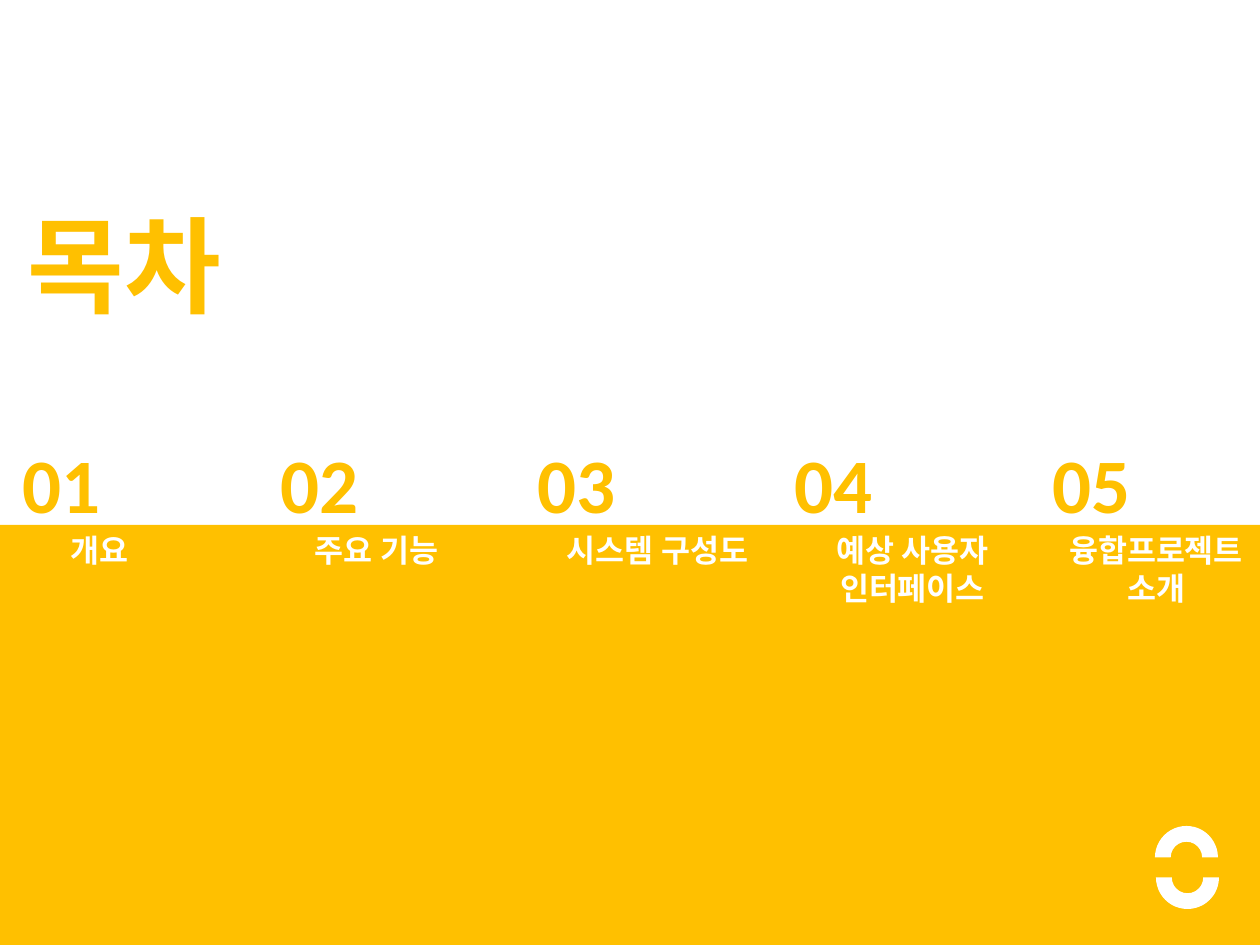
from pptx import Presentation
from pptx.dml.color import RGBColor
from pptx.enum.shapes import MSO_SHAPE
from pptx.enum.text import MSO_ANCHOR, MSO_AUTO_SIZE, PP_ALIGN
from pptx.util import Pt

SCALE = 914400 / 126
WIDTH, HEIGHT = 1260, 945
BAND_TOP = 525
AMBER, WHITE = "FFC000", "FFFFFF"

TITLE = {"size": Pt(60), "name": "Arial", "bold": True}
NUMBER = {"size": Pt(44), "name": "Calibri", "bold": True}
LABEL = {"size": Pt(18), "name": "Arial", "bold": True}

# Label left, label width, label height, lines
SECTIONS = [
    (39, 121, 50, ["개요"]),
    (251, 251, 50, ["주요 기능"]),
    (532, 251, 50, ["시스템 구성도"]),
    (814, 197, 89, ["예상 사용자 인터페이스"]),
    (1038, 236, 89, ["융합프로젝트", "소개"]),
]


def px(n):
    """Turn pixels into EMU."""
    return round(n * SCALE)


def color(hex_code):
    """Turn a hex string into a colour."""
    return RGBColor.from_string(hex_code)


def place(sp, box):
    """Move and size a shape to a pixel box."""
    for name, value in zip(("left", "top", "width", "height"), box):
        setattr(sp, name, px(value))


def write(sp, lines, style, fill, align=PP_ALIGN.LEFT):
    """Write one paragraph per line in the given style."""
    tf = sp.text_frame
    frame = {"word_wrap": True, "vertical_anchor": MSO_ANCHOR.TOP,
             "auto_size": MSO_AUTO_SIZE.SHAPE_TO_FIT_TEXT}
    for name, value in frame.items():
        setattr(tf, name, value)
    tf.text = "\n".join(lines)
    for p in tf.paragraphs:
        p.alignment = align
        for r in p.runs:
            for name, value in style.items():
                setattr(r.font, name, value)
            r.font.color.rgb = color(fill)


def add_text(slide, box, *args):
    """Add a text box and write in it."""
    write(slide.shapes.add_textbox(*map(px, box)), *args)


def add_block(slide, kind, box, fill):
    """Add a plain filled shape without outline."""
    sp = slide.shapes.add_shape(kind, *map(px, box))
    sp.shadow.inherit = False
    sp.fill.solid()
    sp.fill.fore_color.rgb = color(fill)
    sp.line.fill.background()
    return sp


def add_title(slide, box):
    """Place and format the title placeholder."""
    place(slide.shapes.title, box)
    write(slide.shapes.title, ["목차"], TITLE, AMBER)


def add_sections(slide, left, top, pitch):
    """Set numbers above the band edge and labels below it."""
    for i, (x, width, height, lines) in enumerate(SECTIONS):
        number_box = (left + round(i * pitch), top - 95, 183, 106)
        add_text(slide, number_box, [f"{i + 1:02d}"], NUMBER, AMBER)
        add_text(slide, (x, top, width, height), lines, LABEL, WHITE,
                 PP_ALIGN.CENTER)


def add_ring(slide, left, top, size):
    """Draw a split ring from two facing arcs."""
    for dx, dy, angle in ((0, 0, 0), (1, 20, 180)):
        box = (left + dx, top + dy, size, size)
        add_block(slide, MSO_SHAPE.BLOCK_ARC, box, WHITE).rotation = angle


def build_contents(prs):
    """Build the contents slide."""
    slide = prs.slides.add_slide(prs.slide_layouts[5])
    add_block(slide, MSO_SHAPE.RECTANGLE,
              (0, BAND_TOP, WIDTH, HEIGHT - BAND_TOP), AMBER)
    add_title(slide, (15, 194, 674, 140))
    add_sections(slide, 10, BAND_TOP, 257.5)
    add_ring(slide, 1155, 826, 63)


prs = Presentation()
prs.slide_width, prs.slide_height = px(WIDTH), px(HEIGHT)
build_contents(prs)
prs.save("out.pptx")
